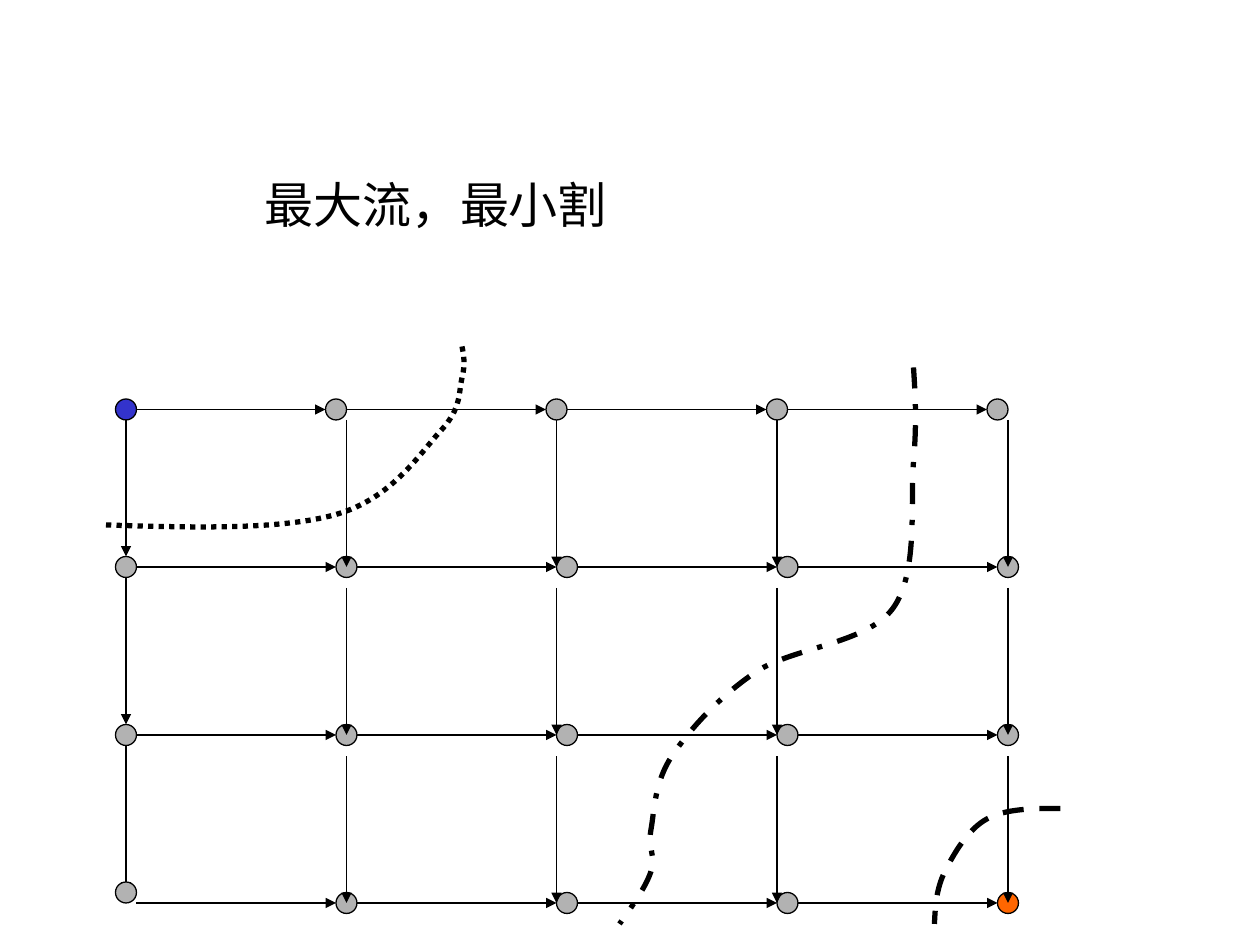
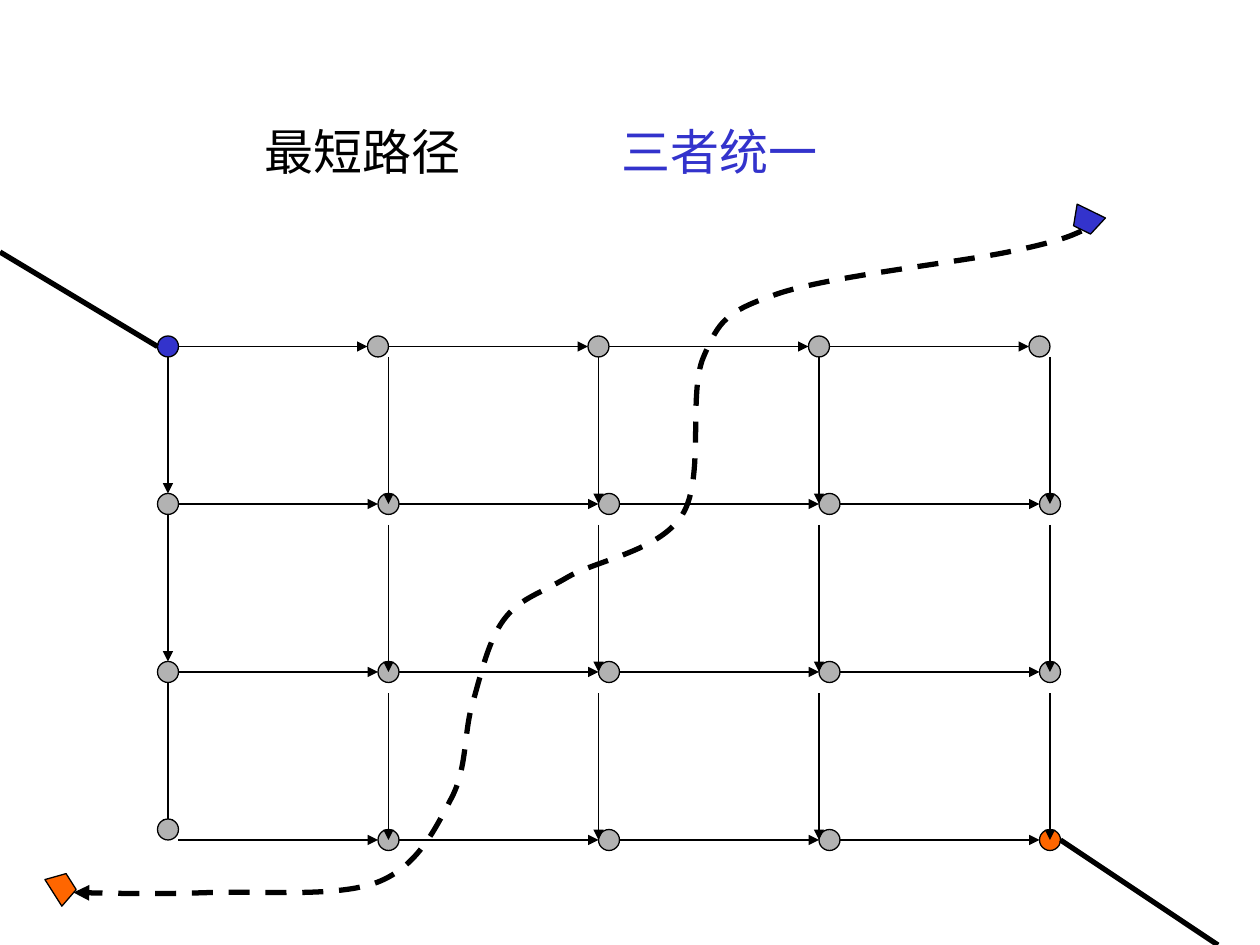
from dataclasses import dataclass
from lxml import etree
from pptx import Presentation
from pptx.dml.color import RGBColor
from pptx.enum.dml import MSO_LINE
from pptx.enum.shapes import MSO_CONNECTOR, MSO_SHAPE
from pptx.oxml.ns import qn
from pptx.util import Pt

DOT, DASH, MIXED = MSO_LINE.ROUND_DOT, MSO_LINE.DASH, MSO_LINE.DASH_DOT
OVAL, FLAG = MSO_SHAPE.OVAL, MSO_SHAPE.FLOWCHART_MANUAL_OPERATION
STRAIGHT = MSO_CONNECTOR.STRAIGHT


@dataclass(frozen=True)
class Theme:
    ink: str = "000000"
    node: str = "B2B2B2"
    source: str = "3333CC"
    sink: str = "FF6600"
    font: str = "Times New Roman"
    size: float = 28
    thin: float = 0.75
    thick: float = 3


T = Theme()

SLIDES = [
    {
        "grid": (72, 234),
        "texts": [("最大流，最小割", 144, 96, 258, T.ink)],
        "lines": [],
        "flags": [],
        "curves": [
            (DOT, False, [(264, 198), (264, 216), (252, 246), (192, 294),
                          (60, 300)]),
            (MIXED, False, [(522, 210), (522, 264), (510, 348), (432, 384),
                            (384, 432), (372, 474), (372, 498), (354, 528)]),
            (DASH, False, [(606, 462), (564, 468), (540, 498), (534, 528)]),
        ],
    },
    {
        "grid": (96, 198),
        "texts": [("最短路径", 144, 66, 132, T.ink),
                  ("三者统一", 348, 66, 132, T.source)],
        "lines": [((90, 198), (0, 144)), ((606, 480), (696, 540))],
        "flags": [(612, 120, 26.1, T.source), (26.6, 501, 237.6, T.sink)],
        "curves": [
            (DASH, True, [(618, 132), (576, 144), (444, 168), (402, 204),
                          (390, 294), (324, 330), (288, 354), (270, 402),
                          (258, 456), (216, 504), (120, 510), (42, 510)]),
        ],
    },
]

RAD = 6
ROWS = [0, 90, 186, 282]
TOP = [0, 120, 246, 372, 498]
REST = [0, 126, 252, 378, 504]
DROPS = [0, 126, 246, 372, 504]
STEP, SPAN = 96, 84
LAST = 276


def color(code):
    return RGBColor.from_string(code)


def stroke(shape, width, dash=None, arrow=False):
    line = shape.line
    line.width = Pt(width)
    line.color.rgb = color(T.ink)
    if dash:
        line.dash_style = dash
    if arrow:
        etree.SubElement(line._get_or_add_ln(), qn("a:tailEnd"), type="triangle")


def add_line(slide, start, end, width=T.thin, arrow=False):
    ends = [Pt(v) for v in (*start, *end)]
    line = slide.shapes.add_connector(STRAIGHT, *ends)
    stroke(line, width, arrow=arrow)
    etree.SubElement(line._element.spPr, qn("a:effectLst"))


def add_solid(slide, kind, box, fill):
    shape = slide.shapes.add_shape(kind, *[Pt(v) for v in box])
    shape.shadow.inherit = False
    shape.fill.solid()
    shape.fill.fore_color.rgb = color(fill)
    stroke(shape, T.thin)
    return shape


def add_node(slide, x, y, fill=T.node):
    add_solid(slide, OVAL, (x - RAD, y - RAD, 2 * RAD, 2 * RAD), fill)


def add_text(slide, text, left, top, width, ink):
    box = slide.shapes.add_textbox(Pt(left), Pt(top), Pt(width), Pt(41))
    box.text_frame.word_wrap = True
    run = box.text_frame.paragraphs[0].add_run()
    run.text = text
    run.font.name = T.font
    run.font.size = Pt(T.size)
    run.font.color.rgb = color(ink)


def mid(a, b):
    return (a[0] + b[0]) / 2, (a[1] + b[1]) / 2


def smooth(knots):
    before, after = {}, {}
    for i in range(1, len(knots) - 1):
        (px, py), (x, y), (nx, ny) = knots[i - 1:i + 2]
        dx, dy = (nx - px) / 6, (ny - py) / 6
        before[i], after[i] = (x - dx, y - dy), (x + dx, y + dy)
    end = len(knots) - 1
    after[0] = mid(knots[0], before[1])
    before[end] = mid(knots[end], after[end - 1])
    return [p for i in range(end) for p in (after[i], before[i + 1], knots[i + 1])]


def add_curve(slide, dash, arrow, knots):
    x, y = knots[0]
    pen = slide.shapes.build_freeform(Pt(x), Pt(y))
    pen.add_line_segments([(Pt(a), Pt(b)) for a, b in smooth(knots)], close=False)
    shape = pen.convert_to_shape()
    track = shape._element.find(".//" + qn("a:path"))
    legs = track.findall(qn("a:lnTo"))
    for i in range(0, len(legs), 3):
        bend = etree.SubElement(track, qn("a:cubicBezTo"))
        for leg in legs[i:i + 3]:
            bend.append(leg[0])
            track.remove(leg)
    shape.shadow.inherit = False
    shape.fill.background()
    stroke(shape, T.thick, dash, arrow)


def add_grid(slide, left, top):
    for r, row in enumerate(ROWS):
        y = top + row
        cols = [left + x for x in (REST if r else TOP)]
        for c, (x, end) in enumerate(zip(cols, cols[1:])):
            start = x + RAD if r or c else x
            add_line(slide, (start, y), (end - RAD, y), arrow=True)
            final = r == len(ROWS) - 1 and c == len(cols) - 2
            add_node(slide, end, y, T.sink if final else T.node)
    for c, drop in enumerate(DROPS):
        x = left + drop
        for r in range(len(ROWS) - 1):
            y = top + STEP * r + (RAD if c else 0)
            add_line(slide, (x, y), (x, y + SPAN), arrow=True)
    for r, row in enumerate(ROWS[:-1] + [LAST]):
        add_node(slide, left, top + row, T.node if r else T.source)


def main():
    deck = Presentation()
    deck.slide_width, deck.slide_height = Pt(720), Pt(540)
    for page in SLIDES:
        slide = deck.slides.add_slide(deck.slide_layouts[6])
        add_grid(slide, *page["grid"])
        for text in page["texts"]:
            add_text(slide, *text)
        for start, end in page["lines"]:
            add_line(slide, start, end, T.thick)
        for x, y, turn, fill in page["flags"]:
            add_solid(slide, FLAG, (x, y, 18, 12), fill).rotation = turn
        for curve in page["curves"]:
            add_curve(slide, *curve)
    deck.save("out.pptx")


if __name__ == "__main__":
    main()
